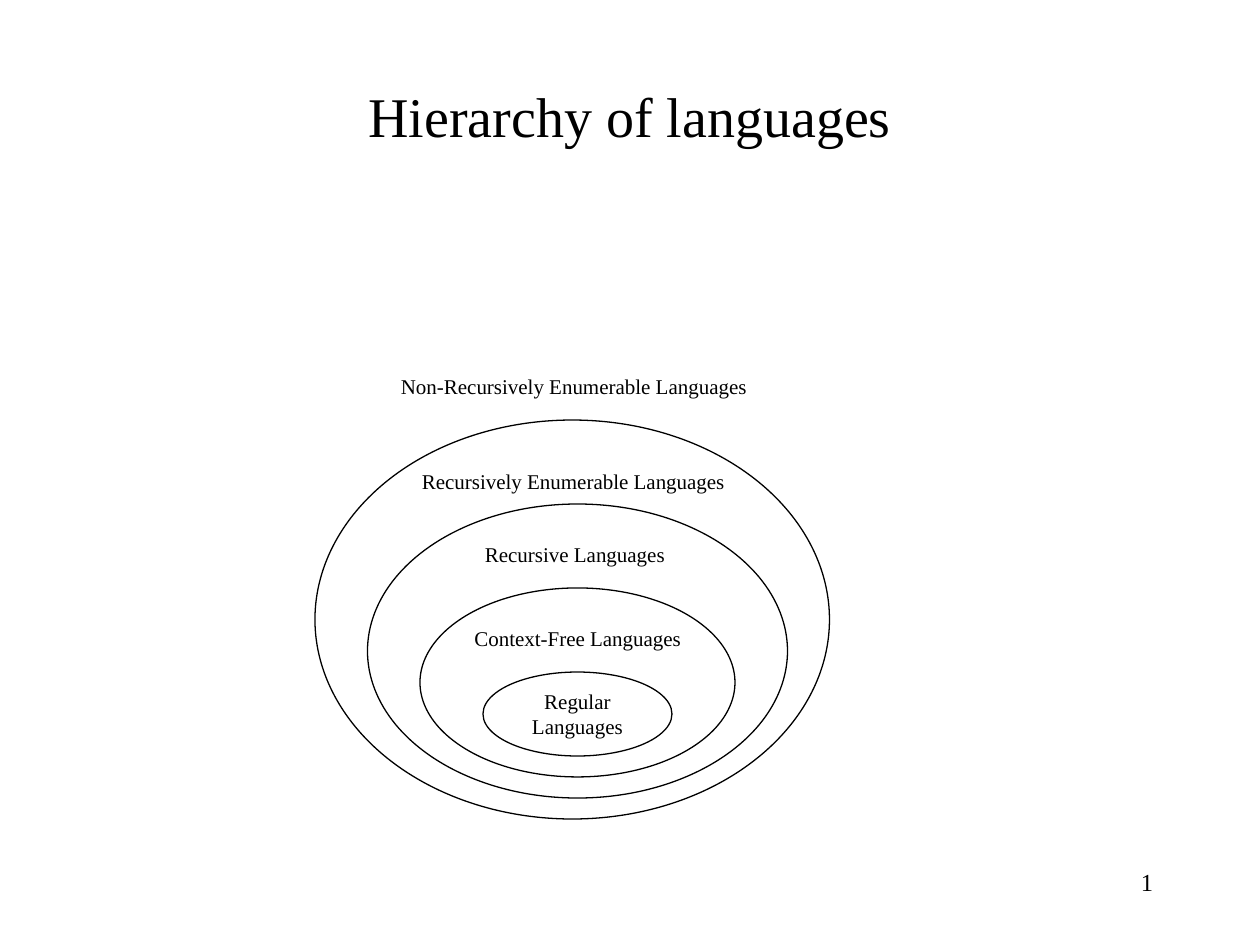
from pptx import Presentation
from pptx.dml.color import RGBColor
from pptx.enum.shapes import MSO_SHAPE as Shape
from pptx.enum.text import MSO_ANCHOR as Anchor, PP_ALIGN as Align
from pptx.util import Pt

FONT = "Times New Roman"
BLACK = "000000"
RING_STEP = 48
RING_RISE = 12
INNER_TOP = 384
INNER_BOTTOM = 432

RINGS = [(276, 108), (240, 180), (210, 240), (180, 294)]
LABELS = [
    ("Context-Free Languages", 264, 354, 133),
    ("Recursive Languages", 270, 306, 118),
    ("Recursively Enumerable Languages", 234, 264, 189),
    ("Non-Recursively Enumerable Languages", 222, 210, 213),
]


def color(value):
    return RGBColor.from_string(value)


def write(shape, text, size, align, anchor=Anchor.TOP, wrap=True):
    frame = shape.text_frame
    frame.word_wrap = wrap
    frame.vertical_anchor = anchor
    para = frame.paragraphs[0]
    para.text = text
    para.alignment = align
    para.font.name = FONT
    para.font.size = Pt(size)
    para.font.color.rgb = color(BLACK)


def add_text(page, text, left, top, width, height, size, align, **layout):
    box = page.shapes.add_textbox(Pt(left), Pt(top), Pt(width), Pt(height))
    write(box, text, size, align, **layout)


def add_ring(page, left, top, width, height):
    ring = page.shapes.add_shape(Shape.OVAL, Pt(left), Pt(top), Pt(width), Pt(height))
    ring.shadow.inherit = False
    ring.fill.background()
    ring.line.color.rgb = color(BLACK)
    ring.line.width = Pt(0.75)
    return ring


def main():
    deck = Presentation()
    deck.slide_width, deck.slide_height = Pt(720), Pt(540)
    page = deck.slides.add_slide(deck.slide_layouts[6])

    add_text(page, "1", 516, 492, 150, 36, 14, Align.RIGHT)
    add_text(page, "Hierarchy of languages", 54, 30, 612, 72, 32,
             Align.CENTER, anchor=Anchor.MIDDLE)

    rings = []
    for level, (left, width) in enumerate(RINGS):
        top = INNER_TOP - level * RING_STEP
        bottom = INNER_BOTTOM + level * RING_RISE
        rings.append(add_ring(page, left, top, width, bottom - top))
    write(rings[0], "Regular Languages", 12, Align.CENTER, anchor=Anchor.MIDDLE)

    for text, left, top, width in LABELS:
        add_text(page, text, left, top, width, 21.6, 12, Align.LEFT, wrap=False)

    deck.save("out.pptx")


if __name__ == "__main__":
    main()
